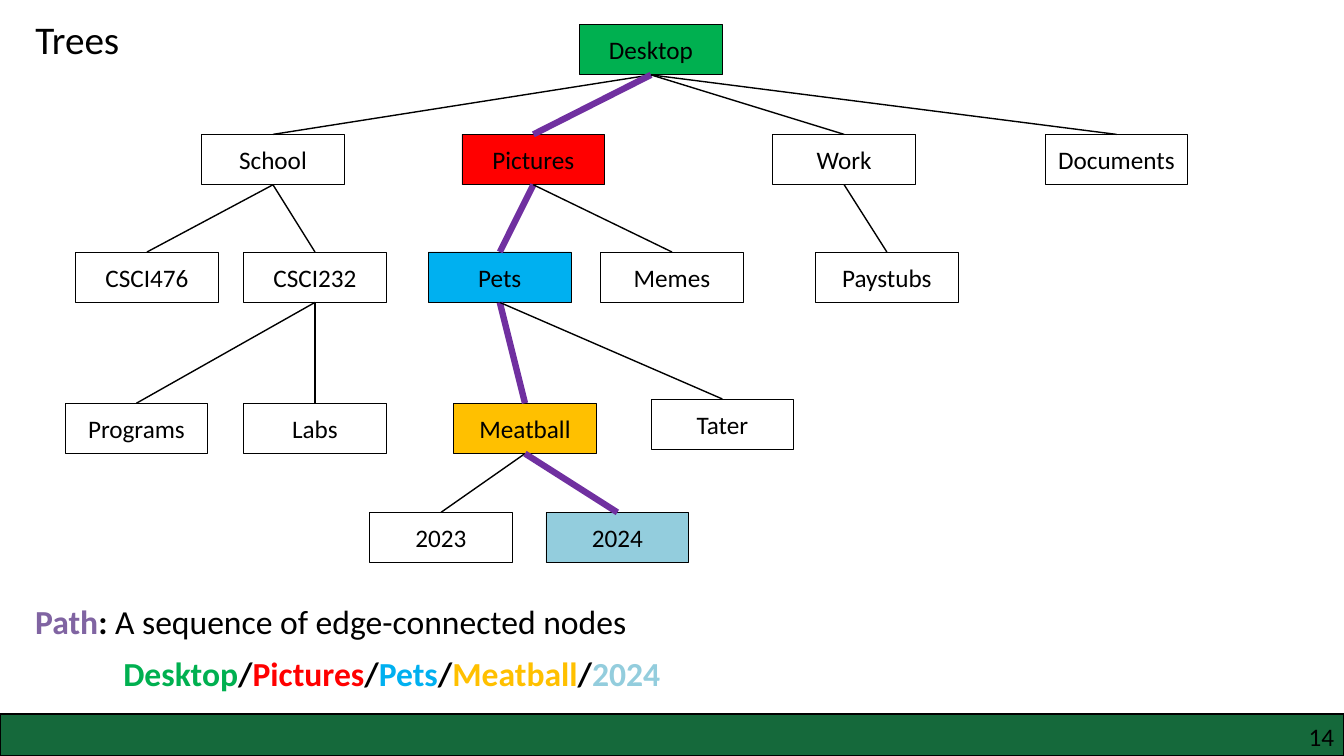
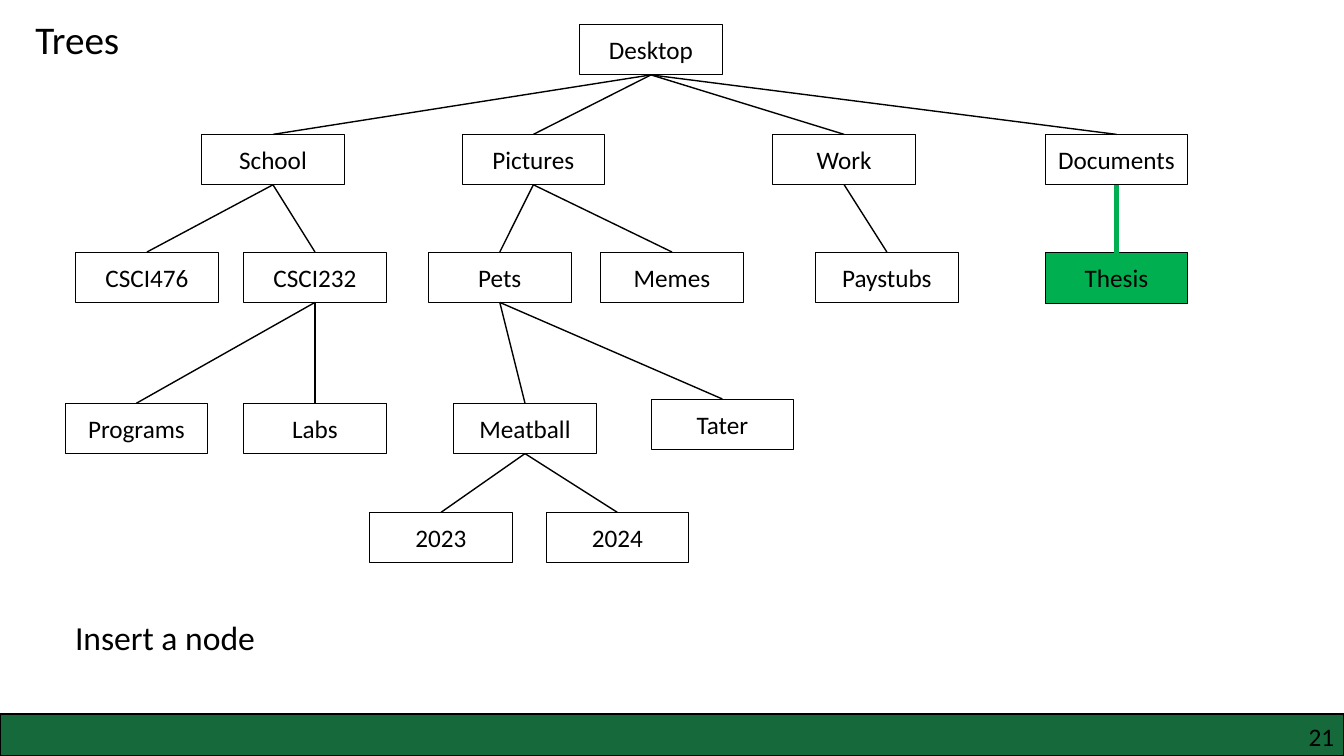
from lxml.etree import SubElement
from pptx import Presentation
from pptx.dml.color import RGBColor
from pptx.enum.shapes import MSO_CONNECTOR, MSO_SHAPE
from pptx.enum.text import MSO_ANCHOR, MSO_AUTO_SIZE, PP_ALIGN
from pptx.oxml.ns import qn
from pptx.util import Pt

BLACK = RGBColor(0x00, 0x00, 0x00)
WHITE = RGBColor(0xFF, 0xFF, 0xFF)
BAND_GREEN = RGBColor(0x15, 0x69, 0x3B)
GREEN = RGBColor(0x00, 0xB0, 0x50)
RED = RGBColor(0xFF, 0x00, 0x00)
BLUE = RGBColor(0x00, 0xB0, 0xF0)
AMBER = RGBColor(0xFF, 0xC0, 0x00)
PALE_BLUE = RGBColor(0x93, 0xCD, 0xDD)
PURPLE = RGBColor(0x70, 0x30, 0xA0)
MUTED_PURPLE = RGBColor(0x80, 0x64, 0xA2)

SLIDE_W, SLIDE_H, BAND_H = 960, 540, 30
NODE_W, NODE_H = 102, 36
TOP, BOTTOM = 0, 2  # connection sites of a rectangle

# name: (left, top, parent)
TREE = {
    "Desktop": (414, 17.5, None),
    "School": (144, 96, "Desktop"),
    "Pictures": (330, 96, "Desktop"),
    "Work": (552, 96, "Desktop"),
    "Documents": (746.5, 96, "Desktop"),
    "CSCI476": (54, 180, "School"),
    "CSCI232": (174, 180, "School"),
    "Pets": (306, 180, "Pictures"),
    "Memes": (429, 180, "Pictures"),
    "Paystubs": (582.5, 180, "Work"),
    "Programs": (46.5, 288, "CSCI232"),
    "Labs": (174, 288, "CSCI232"),
    "Meatball": (324, 288, "Pets"),
    "Tater": (465, 285, "Pets"),
    "2023": (264, 366, "Meatball"),
    "2024": (390, 366, "Meatball"),
}
THESIS = {"Thesis": (746.5, 180.5, "Documents")}
PATH = {"Desktop": GREEN, "Pictures": RED, "Pets": BLUE,
        "Meatball": AMBER, "2024": PALE_BLUE}


def box(left, top, width, height):
    return [Pt(v) for v in (left, top, width, height)]


def write(tf, runs, size, align=PP_ALIGN.LEFT, **frame):
    """Fill a text frame with one paragraph of (text, colour, bold) runs."""
    for name, value in frame.items():
        setattr(tf, name, value)
    p = tf.paragraphs[0]
    p.alignment = align
    for text, color, bold in runs:
        r = p.add_run()
        r.text = text
        fmt = {"name": "Calibri", "size": Pt(size), "bold": bold}
        for name, value in fmt.items():
            setattr(r.font, name, value)
        r.font.color.rgb = color


def add_text(s, area, runs, size, align=PP_ALIGN.LEFT, **frame):
    tf = s.shapes.add_textbox(*box(*area)).text_frame
    write(tf, runs, size, align, word_wrap=True, **frame)


def add_rect(s, area, fill, line_width):
    sp = s.shapes.add_shape(MSO_SHAPE.RECTANGLE, *box(*area))
    sp.shadow.inherit = False
    sp.fill.solid()
    sp.fill.fore_color.rgb = fill
    sp.line.color.rgb = BLACK
    sp.line.width = Pt(line_width)
    return sp


def add_node(s, name, left, top, fill):
    sp = add_rect(s, (left, top, NODE_W, NODE_H), fill, 0.5)
    write(sp.text_frame, [(name, BLACK, False)], 18, PP_ALIGN.CENTER,
          vertical_anchor=MSO_ANCHOR.MIDDLE)
    return sp


def add_edge(s, parent, child, color, width):
    edge = s.shapes.add_connector(MSO_CONNECTOR.STRAIGHT, *box(0, 0, 0, 0))
    edge.begin_connect(parent, BOTTOM)
    edge.end_connect(child, TOP)
    edge.line.color.rgb = color
    edge.line.width = Pt(width)
    SubElement(edge._element.spPr, qn("a:effectLst"))


def add_tree(s, tree, fills, edge_color, edge_width):
    """Draw the nodes, then the edges; an edge joining two filled nodes stands out."""
    nodes = {name: add_node(s, name, left, top, fills.get(name, WHITE))
             for name, (left, top, _) in tree.items()}
    for name, (_, _, parent) in tree.items():
        if parent:
            marked = name in fills and (parent in fills or len(fills) == 1)
            style = (edge_color, edge_width) if marked else (BLACK, 1)
            add_edge(s, nodes[parent], nodes[name], *style)


def add_slide(prs, number):
    """Add a slide with the shared title, bottom band and slide number."""
    s = prs.slides.add_slide(prs.slide_layouts[5])
    title = s.shapes.title
    title.left, title.top, title.width, title.height = box(18, 7, 87, 41)
    write(title.text_frame, [("Trees", BLACK, False)], 28, word_wrap=True,
          auto_size=MSO_AUTO_SIZE.NONE, vertical_anchor=MSO_ANCHOR.TOP)
    add_rect(s, (0, SLIDE_H - BAND_H, SLIDE_W, BAND_H), BAND_GREEN, 1)
    add_text(s, (732, 515, 221, 22), [(str(number), BLACK, False)], 18,
             PP_ALIGN.RIGHT, margin_left=0, margin_top=0,
             margin_right=0, margin_bottom=0)
    return s


def add_path_slide(prs):
    s = add_slide(prs, 14)
    add_tree(s, TREE, PATH, PURPLE, 4.5)
    add_text(s, (18, 425.5, 681, 36),
             [("Path", MUTED_PURPLE, True), (": ", BLACK, True),
              ("A sequence of edge-connected nodes", BLACK, False)], 24)
    runs = []
    for name, color in PATH.items():
        if runs:
            runs.append(("/", BLACK, True))
        runs.append((name, color, True))
    add_text(s, (81, 463, 435, 36), runs, 24)


def add_insert_slide(prs):
    s = add_slide(prs, 21)
    add_tree(s, TREE | THESIS, {"Thesis": GREEN}, GREEN, 3)
    add_text(s, (46.5, 437, 156, 36), [("Insert a node", BLACK, False)], 24)


def main():
    prs = Presentation()
    prs.slide_width, prs.slide_height = Pt(SLIDE_W), Pt(SLIDE_H)
    add_path_slide(prs)
    add_insert_slide(prs)
    prs.save("out.pptx")


if __name__ == "__main__":
    main()
